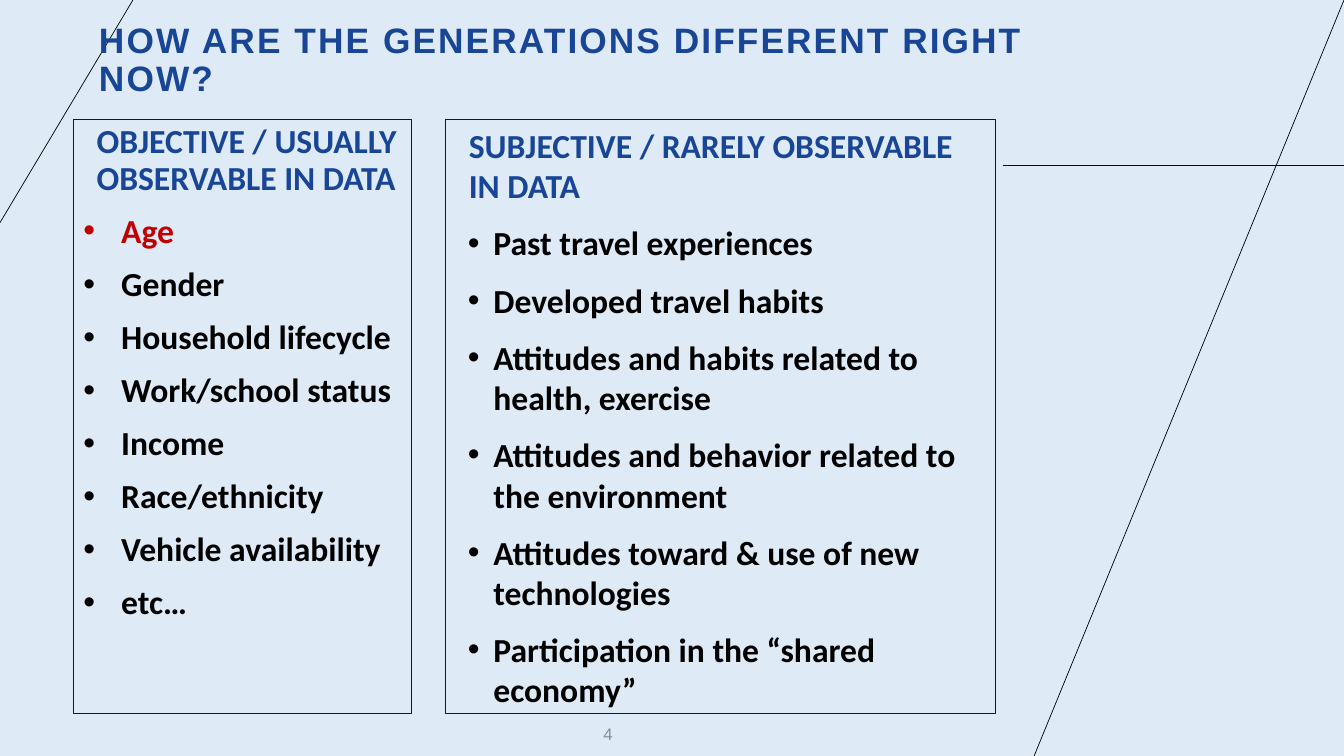
from dataclasses import dataclass

from lxml.etree import SubElement
from pptx import Presentation
from pptx.dml.color import RGBColor
from pptx.enum.shapes import MSO_CONNECTOR
from pptx.enum.text import MSO_ANCHOR, MSO_AUTO_SIZE, PP_ALIGN
from pptx.oxml.ns import qn
from pptx.slide import Slide
from pptx.util import Cm, Pt

BLUE, RED, BLACK, GREY = "184596", "C00000", "000000", "8C8C8C"
WIDTH, HEIGHT = 33.87, 19.05
TOP, TALL = 3.02, 14.96


@dataclass
class Panel:
    left: float
    width: float
    head: str
    items: list[str]
    margin: float
    hang: float
    pitch: float


@dataclass
class Line:
    x1: float
    y1: float
    x2: float
    y2: float


PANELS = [
    Panel(1.85, 8.53, "OBJECTIVE / USUALLY OBSERVABLE IN DATA",
          ["Age", "Gender", "Household lifecycle", "Work/school status", "Income",
           "Race/ethnicity", "Vehicle availability", "etc…"],
          margin=0.95, hang=0.95, pitch=0.9),
    Panel(11.23, 13.87, "SUBJECTIVE / RARELY OBSERVABLE IN DATA",
          ["Past travel experiences", "Developed travel habits",
           "Attitudes and habits related to health, exercise",
           "Attitudes and behavior related to the environment",
           "Attitudes toward & use of new technologies",
           "Participation in the “shared economy”"],
          margin=0.95, hang=0.64, pitch=1.0),
]
LINES = [
    Line(25.27, 4.17, WIDTH, 4.17),
    Line(WIDTH, 0, 26.06, HEIGHT),
    Line(0, 5.61, 3.35, 0),
]


def tint(target, code: str) -> None:
    """Give a font or a fill a solid colour."""
    if hasattr(target, "solid"):
        target.solid()
        target.fore_color.rgb = RGBColor.from_string(code)
    else:
        target.color.rgb = RGBColor.from_string(code)


def place(shape, left: float, top: float, width: float, height: float) -> None:
    shape.left, shape.top = Cm(left), Cm(top)
    shape.width, shape.height = Cm(width), Cm(height)


def set_font(para, name: str, size: float, code: str, bold: bool = False) -> None:
    font = para.font
    font.name, font.size, font.bold = name, Pt(size), bold
    tint(font, code)


def set_list(para, margin: float, hang: float) -> None:
    """Indent a paragraph; a hanging one gets a bullet."""
    props = para._p.get_or_add_pPr()
    props.set("marL", str(Cm(margin)))
    props.set("indent", str(-Cm(hang)))
    if hang:
        SubElement(props, qn("a:buFont"), typeface="Arial")
        SubElement(props, qn("a:buChar"), char="•")
    else:
        SubElement(props, qn("a:buNone"))


def draw_line(slide: Slide, line: Line) -> None:
    rule = slide.shapes.add_connector(
        MSO_CONNECTOR.STRAIGHT, Cm(line.x1), Cm(line.y1), Cm(line.x2), Cm(line.y2))
    tint(rule.line.fill, BLACK)
    rule.line.width = Pt(0.5)
    SubElement(rule._element.spPr, qn("a:effectLst"))
    slide.shapes._spTree.insert(2, rule._element)


def draw_title(slide: Slide) -> None:
    title = slide.shapes.title
    place(title, 2.24, 0.74, 23.95, 1.88)
    frame = title.text_frame
    frame.text = "HOW ARE THE GENERATIONS DIFFERENT RIGHT NOW?"
    frame.auto_size = MSO_AUTO_SIZE.NONE
    frame.vertical_anchor = MSO_ANCHOR.BOTTOM
    para = frame.paragraphs[0]
    para.alignment = PP_ALIGN.LEFT
    para.line_spacing = 0.9
    set_font(para, "Arial", 25.2, BLUE, bold=True)
    para._p.pPr.find(qn("a:defRPr")).set("spc", "150")


def draw_panel(body, panel: Panel) -> None:
    place(body, panel.left, TOP, panel.width, TALL)
    tint(body.line.fill, "0000CC")
    body.line.width = Pt(0.75)
    frame = body.text_frame
    frame.auto_size = MSO_AUTO_SIZE.NONE
    frame.vertical_anchor = MSO_ANCHOR.TOP
    for i, text in enumerate([panel.head, *panel.items]):
        para = frame.add_paragraph() if i else frame.paragraphs[0]
        para.text = text
        if i:
            set_list(para, panel.margin, panel.hang)
        else:
            set_list(para, 0.33, 0)
        para.line_spacing = panel.pitch
        para.space_before = Pt(6 if i else 0)
        para.space_after = Pt(6)
        code = RED if text == "Age" else BLACK if i else BLUE
        set_font(para, "Calibri", 24, code, bold=True)


def draw_number(slide: Slide) -> None:
    box = slide.shapes.add_textbox(Cm(12.95), Cm(17.98), Cm(2.74), Cm(1.02))
    frame = box.text_frame
    frame.word_wrap = True
    frame.vertical_anchor = MSO_ANCHOR.MIDDLE
    para = frame.paragraphs[0]
    para.text = "4"
    para.alignment = PP_ALIGN.RIGHT
    set_font(para, "Arial", 12, GREY)


def main() -> None:
    deck = Presentation()
    deck.slide_width, deck.slide_height = Cm(WIDTH), Cm(HEIGHT)
    slide = deck.slides.add_slide(deck.slide_layouts.get_by_name("Two Content"))
    tint(slide.background.fill, "DEEBF7")
    for line in LINES:
        draw_line(slide, line)
    draw_title(slide)
    for index, panel in enumerate(PANELS, start=1):
        draw_panel(slide.placeholders[index], panel)
    draw_number(slide)
    deck.save("out.pptx")


if __name__ == "__main__":
    main()
